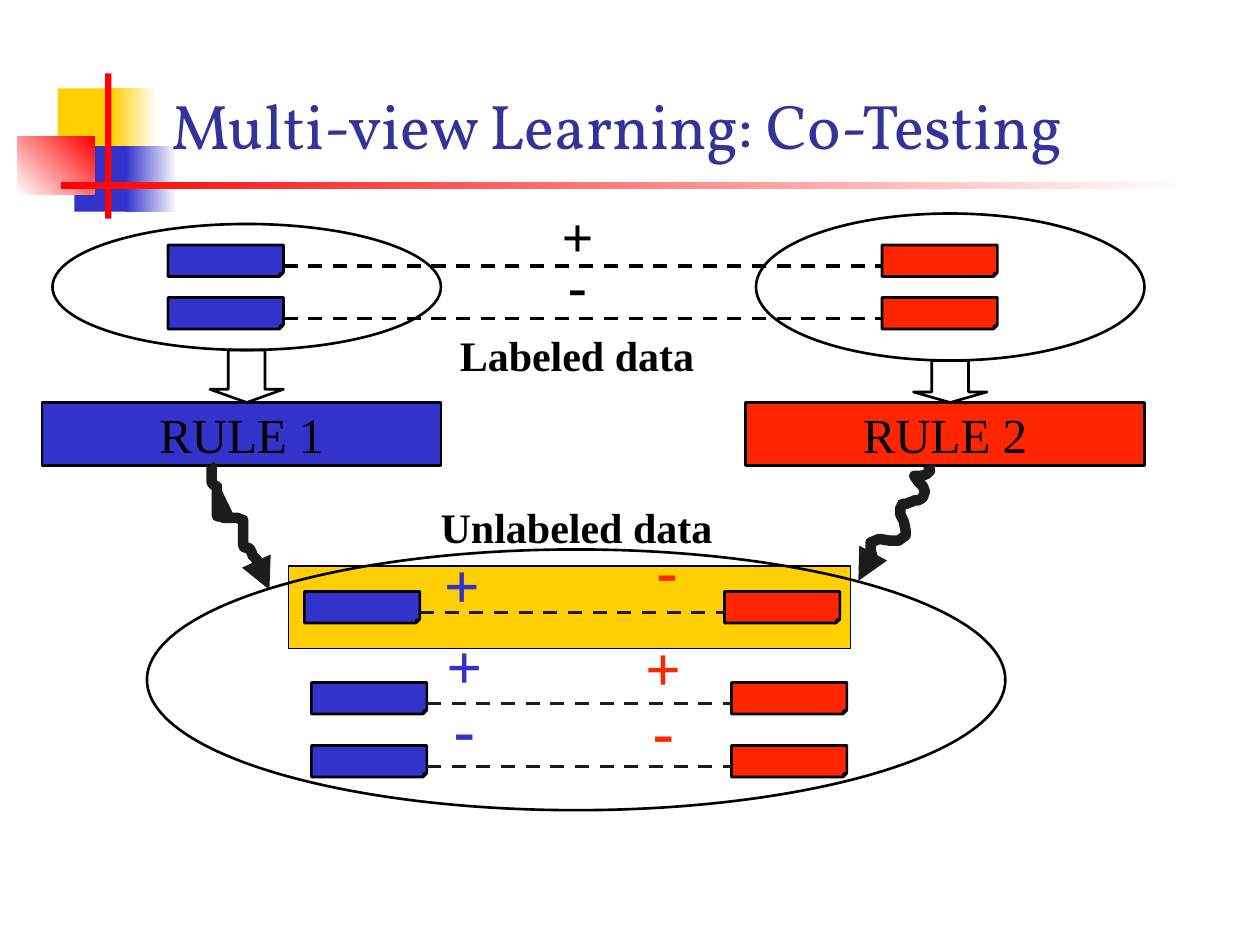
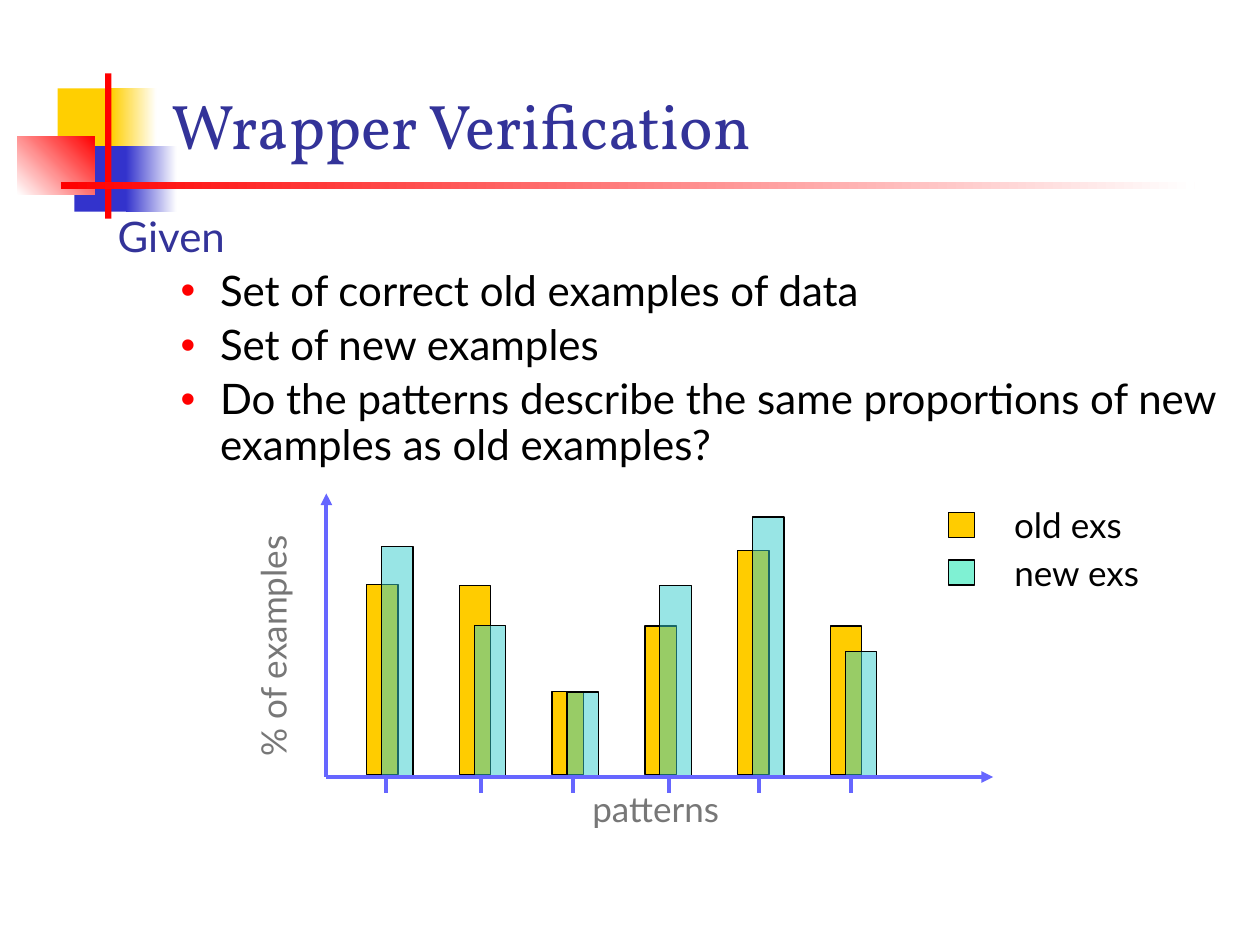
from lxml import etree
from pptx import Presentation
from pptx.dml.color import RGBColor
from pptx.enum import dml, shapes, text
from pptx.oxml import ns
from pptx.util import Pt

BLACK = RGBColor(0, 0, 0)
WHITE = RGBColor(255, 255, 255)
CHARCOAL = RGBColor(0x1C, 0x1C, 0x1C)
GREY = RGBColor(0x77, 0x77, 0x77)
NAVY = RGBColor(0x33, 0x33, 0x99)
BLUE = RGBColor(0x33, 0x33, 0xCC)
AXIS_BLUE = RGBColor(0x66, 0x66, 0xFF)
RED = RGBColor(255, 0, 0)
VIEW_RED = RGBColor(0xFF, 0x25, 0x01)
YELLOW = RGBColor(0xFF, 0xCF, 0x01)
OLD_YELLOW = RGBColor(0xFF, 0xCC, 0)
NEW_TEAL = RGBColor(0x33, 0xCC, 0xCC)
LEGEND_TEAL = RGBColor(0, 0xE4, 0xA8)
SERIF, SANS, TITLE_FONT = "Times New Roman", "Lato", "Vollkorn"
KIND = shapes.MSO_SHAPE

CARD_WIDTH, CARD_HEIGHT = 66, 18
RULE_TOP, RULE_HEIGHT = 230, 36
SIGN_WIDTHS = {"+": 0.57, "-": 0.33}

LEFT_SQUIGGLE = [
    (0, 0), (1, 1), (1, 3), (1, 4), (1, 10), (0, 11), (4, 12),
    (5, 21), (4, 11), (4, 24), (4, 25), (4, 27), (4, 29),
    (5, 29), (11, 30), (12, 30), (14, 30), (19, 31), (19, 31),
    (19, 36), (18, 42), (19, 46), (20, 48), (21, 47), (22, 47),
    (25, 49), (22, 46), (24, 50), (24, 52), (26, 53), (27, 54),
    (27, 59), (27, 60), (32, 63), (32, 65), (32, 71), (34, 71)]
RIGHT_SQUIGGLE = [
    (40, 0), (44, 6), (37, 6), (32, 6), (35, 10), (40, 14), (37, 18),
    (36, 19), (32, 20), (30, 21), (29, 21), (26, 22), (26, 22),
    (25, 22), (24, 24), (24, 25), (24, 28), (27, 37), (27, 40),
    (24, 48), (12, 38), (7, 44), (7, 49), (9, 55), (6, 59),
    (4, 62), (4, 60), (3, 63), (2, 63), (3, 65), (1, 66),
    (1, 66), (0, 66), (0, 66)]

OLD_HEIGHTS = [109, 108, 47.5, 85, 128, 85]
NEW_HEIGHTS = [131, 86, 48, 109, 148, 71]
TICK_OFFSETS = [34, 88.5, 141, 196, 247, 300]


def add_child(parent, tag, **attributes):
    return etree.SubElement(parent, ns.qn(tag), **attributes)


def points(*lengths):
    return [Pt(length) for length in lengths]


def add_run(para, words, font, size, color, bold=False):
    span = para.add_run()
    span.text = words
    span.font.name = font
    span.font.size = Pt(size)
    span.font.color.rgb = color
    span.font.bold = bold


def draw(page, kind, box, fill=None, line=1.5, alpha=None):
    shape = page.shapes.add_shape(kind, *points(*box))
    shape.shadow.inherit = False
    if fill is None:
        shape.fill.background()
    else:
        shape.fill.solid()
        shape.fill.fore_color.rgb = fill
    if alpha:
        color = shape.element.spPr.find(ns.qn("a:solidFill"))[0]
        add_child(color, "a:alpha", val=str(alpha * 1000))
    if line:
        shape.line.color.rgb = BLACK
        shape.line.width = Pt(line)
    else:
        shape.line.fill.background()
    return shape


def set_guides(shape, **guides):
    geometry = shape.element.spPr.find(ns.qn("a:prstGeom"))
    for child in list(geometry):
        geometry.remove(child)
    values = add_child(geometry, "a:avLst")
    for name, value in guides.items():
        add_child(values, "a:gd", name=name, fmla=f"val {value}")


def add_arrowhead(shape):
    add_child(shape.element.spPr.find(ns.qn("a:ln")), "a:tailEnd", type="triangle")


def connect(page, start, end, color, width, dashed=False, arrow=False):
    link = page.shapes.add_connector(
        shapes.MSO_CONNECTOR.STRAIGHT, *points(*start, *end))
    link.line.color.rgb = color
    link.line.width = Pt(width)
    if dashed:
        link.line.dash_style = dml.MSO_LINE.DASH
    if arrow:
        add_arrowhead(link)
    add_child(link.element.spPr, "a:effectLst")


def add_label(page, box, words, font, size, color, bold=False, rotation=0):
    label = page.shapes.add_textbox(*points(*box))
    label.rotation = rotation
    frame = label.text_frame
    frame.word_wrap = False
    frame.auto_size = text.MSO_AUTO_SIZE.SHAPE_TO_FIT_TEXT
    para = frame.paragraphs[0]
    para.alignment = text.PP_ALIGN.CENTER
    add_run(para, words, font, size, color, bold)


def add_sign(page, center, top, sign, size, color):
    width = SIGN_WIDTHS[sign] * size + 14.4
    add_label(page, (center - width / 2, top, width, size * 1.2 + 7),
              sign, SERIF, size, color, True)


def decorate_master(deck, page):
    bands = [
        ((33, 50.5, 34.5, 37.5), YELLOW, None, 0),
        ((63.5, 50.5, 26, 37.5), YELLOW, WHITE, 0),
        ((42.5, 83.5, 33, 37.5), BLUE, None, 0),
        ((72, 83.5, 29, 37.5), BLUE, WHITE, 0),
        ((10, 77.75, 44, 33.5), WHITE, RED, 45),
        ((60, 42, 3.6, 83), RED, None, 0),
        ((34.75, 104, 648, 4), RED, WHITE, 0)]
    tree = deck.slide_master.element.cSld.spTree
    for index, (box, start, end, angle) in enumerate(bands):
        band = draw(page, KIND.RECTANGLE, box, start, line=0)
        if end is not None:
            band.fill.gradient()
            band.fill.gradient_angle = angle
            for stop, color in zip(band.fill.gradient_stops, (start, end)):
                stop.color.rgb = color
        band.element.nvSpPr.cNvPr.set("id", str(100 + index))
        tree.insert(2 + index, band.element)


def place(holder, box):
    holder.left, holder.top, holder.width, holder.height = points(*box)
    frame = holder.text_frame
    frame.auto_size = text.MSO_AUTO_SIZE.NONE
    return frame


def set_title(page, words):
    frame = place(page.shapes.title, (90.75, 36, 613.5, 60))
    frame.vertical_anchor = text.MSO_ANCHOR.BOTTOM
    para = frame.paragraphs[0]
    para.alignment = text.PP_ALIGN.LEFT
    add_run(para, words, TITLE_FONT, 36, NAVY)


def add_view(page, box, rule, color):
    left, top, width, height = box
    bottom = top + height
    panel = draw(page, KIND.RECTANGLE,
                 (left - 6, RULE_TOP, width + 6, RULE_HEIGHT), color)
    frame = panel.text_frame
    frame.word_wrap = False
    frame.vertical_anchor = text.MSO_ANCHOR.MIDDLE
    para = frame.paragraphs[0]
    para.alignment = text.PP_ALIGN.CENTER
    add_run(para, rule, SERIF, 28, BLACK)
    arrow = draw(page, KIND.DOWN_ARROW, (left + 90, bottom, 42, RULE_TOP - bottom))
    set_guides(arrow, adj1=50000, adj2=25000)
    draw(page, KIND.OVAL, box)


def add_pair(page, left, top, distance, line_color):
    for card_left, color in ((left, BLUE), (left + distance, VIEW_RED)):
        card = draw(page, KIND.FOLDED_CORNER,
                    (card_left, top, CARD_WIDTH, CARD_HEIGHT), color)
        set_guides(card, adj=12500)
    connect(page, (left + CARD_WIDTH, top + 12), (left + distance, top + 12),
            line_color, 2, dashed=True)


def bezier(corners, t):
    weights = ((1 - t) ** 3, 3 * t * (1 - t) ** 2, 3 * t * t * (1 - t), t ** 3)
    return tuple(sum(weight * corner[axis] for weight, corner in zip(weights, corners))
                 for axis in (0, 1))


def add_squiggle(page, left, top, controls, fill=None):
    track = [bezier(controls[index:index + 4], step / 4)
             for index in range(0, len(controls) - 1, 3) for step in range(1, 5)]
    builder = page.shapes.build_freeform(*controls[0], scale=Pt(1))
    builder.add_line_segments(track, close=False)
    squiggle = builder.convert_to_shape(*points(left, top))
    squiggle.shadow.inherit = False
    if fill is None:
        squiggle.fill.background()
    else:
        squiggle.fill.solid()
        squiggle.fill.fore_color.rgb = fill
    squiggle.line.color.rgb = CHARCOAL
    squiggle.line.width = Pt(6)
    add_arrowhead(squiggle)


def add_labeled_data(page):
    for top in (140, 170):
        add_pair(page, 96, top, 408, BLACK)
    add_sign(page, 330, 111.6, "+", 32, BLACK)
    add_sign(page, 330, 139.7, "-", 32, BLACK)
    add_label(page, (255.5, 184.5, 148.5, 36), "Labeled data", SERIF, 24, BLACK, True)


def add_unlabeled_data(page, box):
    left, top, width, height = box
    draw(page, KIND.OVAL, box)
    for pair_left, pair_top in ((90, 24), (94, 76), (94, 112)):
        add_pair(page, left + pair_left, top + pair_top, 240, CHARCOAL)
    add_label(page, (left + 160.5, top - 31, 170, 36),
              "Unlabeled data", SERIF, 24, BLACK, True)
    for center, sign_top, sign, color in (
            (180, -5.8, "+", BLUE), (181.3, 40.2, "+", BLUE), (181.3, 76.2, "-", BLUE),
            (297.2, -14.5, "-", VIEW_RED), (295, 41.7, "+", VIEW_RED),
            (295, 77.7, "-", VIEW_RED)):
        add_sign(page, left + center, top + sign_top, sign, 36, color)


def build_co_testing(page):
    set_title(page, "Multi-view Learning: Co-Testing")
    draw(page, KIND.RECTANGLE, (165, 323.5, 321, 47), YELLOW, 0.75)
    add_view(page, (30, 128, 222, 72), "RULE 1", BLUE)
    add_view(page, (432, 122, 222, 84), "RULE 2", VIEW_RED)
    add_labeled_data(page)
    add_unlabeled_data(page, (84, 314, 490.5, 149))
    add_squiggle(page, 120, 266, LEFT_SQUIGGLE, CHARCOAL)
    add_squiggle(page, 490.5, 266, RIGHT_SQUIGGLE)


def add_question(page):
    frame = place(page.placeholders[1], (60, 120, 645, 164))
    lines = ["Given", "Set of correct old examples of data", "Set of new examples",
             "Do the patterns describe the same proportions of new examples"
             " as old examples?"]
    for index, words in enumerate(lines):
        para = frame.add_paragraph() if index else frame.paragraphs[0]
        para.level = 1 if index else 0
        para.line_spacing = 0.9
        para.space_before = Pt(5)
        margin, indent = (58.5, -22.5) if index else (27, -27)
        style = para._p.get_or_add_pPr()
        style.set("marL", str(Pt(margin)))
        style.set("indent", str(Pt(indent)))
        if index:
            add_child(add_child(style, "a:buClr"), "a:srgbClr", val=str(RED))
            add_child(style, "a:buFont", typeface="Arial")
            add_child(style, "a:buChar", char="•")
        else:
            add_child(style, "a:buNone")
        add_run(para, words, SANS, 24, BLACK if index else NAVY)


def add_histogram(page, box):
    left, top, width, height = box
    base = top + height
    for heights, offset, gap, color, alpha in (
            (OLD_HEIGHTS, 23, 1.2, OLD_YELLOW, None),
            (NEW_HEIGHTS, 31.5, 0.6, NEW_TEAL, 50)):
        for index, bar in enumerate(heights):
            draw(page, KIND.RECTANGLE,
                 (left + offset + 53 * index, base - gap - bar, 18, bar),
                 color, 0.75, alpha)
    for end in ((left, top), (left + width, base)):
        connect(page, (left, base), end, AXIS_BLUE, 2.25, arrow=True)
    for offset in TICK_OFFSETS:
        connect(page, (left + offset, base + 9), (left + offset, base - 1),
                AXIS_BLUE, 2.25)
    add_label(page, (left - 103.7, top + 71.5, 146, 31), "% of examples",
              SANS, 20, GREY, rotation=270)
    add_label(page, (left + 144.7, base + 2.4, 87, 31), "patterns", SANS, 20, GREY)


def add_legend(page, left, top):
    for index, (words, width, color, alpha) in enumerate((
            ("old exs", 76.5, OLD_YELLOW, None),
            ("new exs", 86.5, LEGEND_TEAL, 50))):
        row = top + 27 * index
        draw(page, KIND.RECTANGLE, (left, row + 8.6, 15, 14.4), color, 0.75, alpha)
        add_label(page, (left + 30, row, width, 31), words, SANS, 20, BLACK)


def build_verification(page):
    set_title(page, "Wrapper Verification")
    add_question(page)
    add_histogram(page, (186.5, 282, 381, 162))
    add_legend(page, 542, 284.4)


def main():
    deck = Presentation()
    deck.slide_width, deck.slide_height = points(720, 540)
    co_testing = deck.slides.add_slide(deck.slide_layouts[5])
    decorate_master(deck, co_testing)
    build_co_testing(co_testing)
    build_verification(deck.slides.add_slide(deck.slide_layouts[1]))
    deck.save("out.pptx")


if __name__ == "__main__":
    main()
